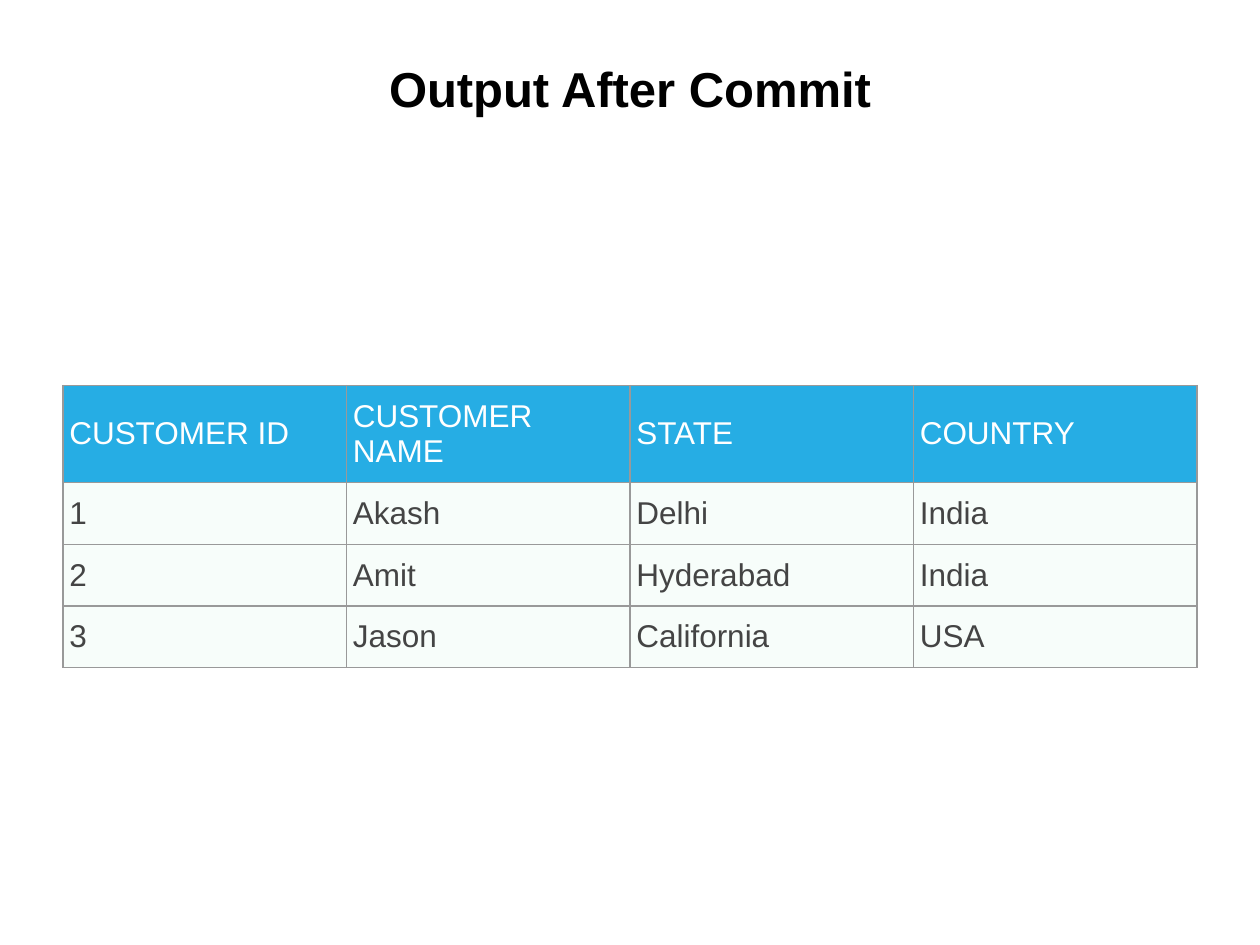
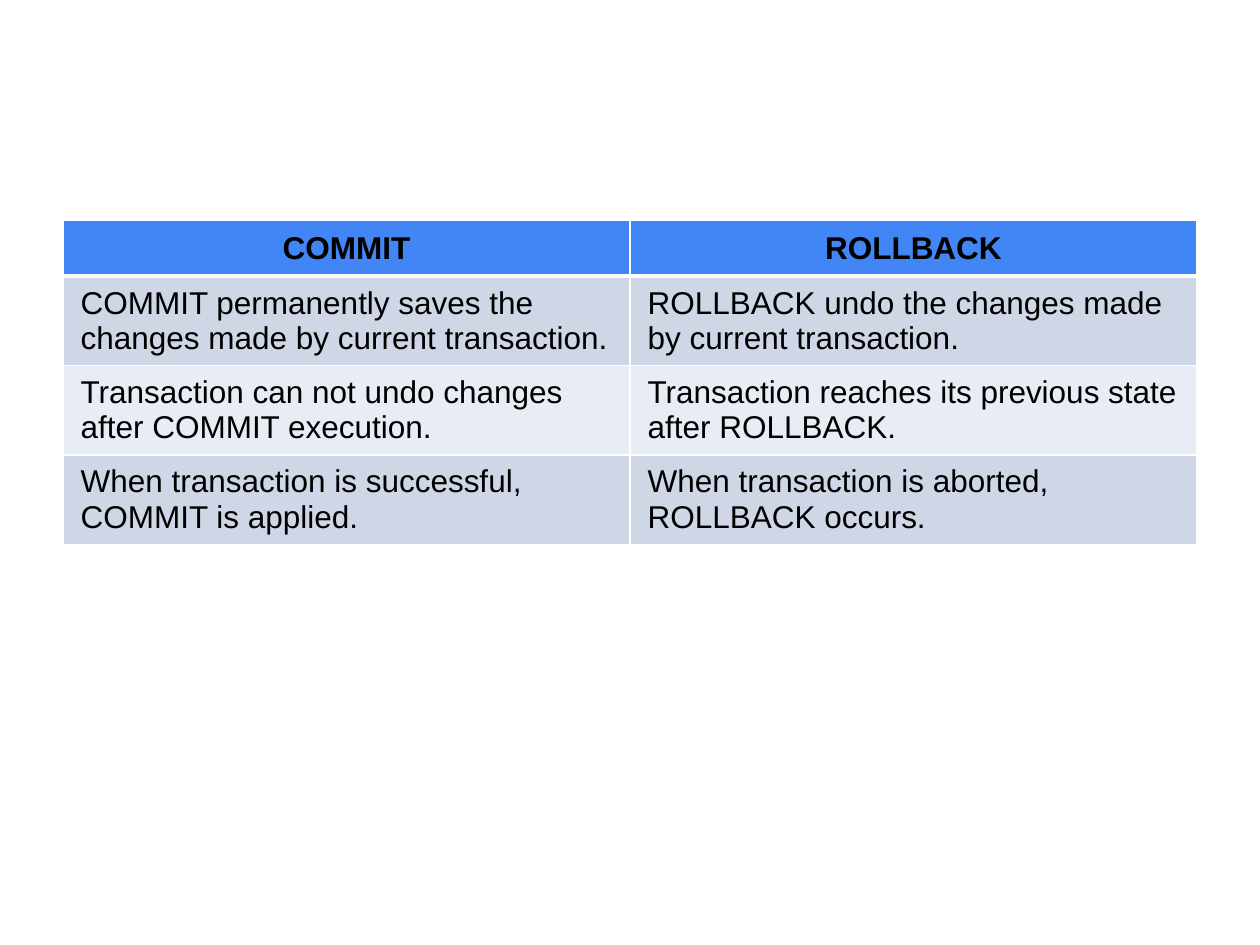
"""Build two slides on SQL transactions: a commit result and a COMMIT/ROLLBACK comparison."""
from lxml.etree import SubElement
from pptx import Presentation
from pptx.dml.color import RGBColor
from pptx.enum.text import MSO_ANCHOR as Anchor, MSO_AUTO_SIZE as AutoSize, PP_ALIGN as Align
from pptx.oxml.ns import qn
from pptx.util import Inches, Pt

BLACK = RGBColor(0x00, 0x00, 0x00)
WHITE = RGBColor(0xFF, 0xFF, 0xFF)
GREY_TEXT = RGBColor(0x44, 0x44, 0x44)
GREY_LINE = RGBColor(0x99, 0x99, 0x99)
SKY = RGBColor(0x26, 0xAD, 0xE4)
MINT = RGBColor(0xF7, 0xFD, 0xFA)
BLUE = RGBColor(0x42, 0x85, 0xF4)
BAND_DARK = RGBColor(0xCF, 0xD7, 0xE7)
BAND_LIGHT = RGBColor(0xE8, 0xEC, 0xF4)
FONT = "Arial"

prs = Presentation()
prs.slide_width, prs.slide_height = Inches(10), Inches(7.5)
LEFT = int(prs.slide_width * 0.05)
WIDTH = int(prs.slide_width * 0.9)


def set_font(font, size, color, bold):
    for key, value in dict(name=FONT, size=Pt(size), bold=bold).items():
        setattr(font, key, value)
    font.color.rgb = color


def add_grid(s, rows, top, heights, head, bands, line, width, rule):
    n_cols = len(rows[0])
    row_heights = [Inches(heights[min(r, 1)]) for r in range(len(rows))]
    table = s.shapes.add_table(len(rows), n_cols, LEFT, Inches(top), WIDTH, sum(row_heights)).table
    for col in table.columns:
        col.width = WIDTH // n_cols
    for r, texts in enumerate(rows):
        table.rows[r].height = row_heights[r]
        style = head if r == 0 else bands[(r - 1) % len(bands)]
        for c, text in enumerate(texts):
            cell = table.cell(r, c)
            tc_pr = cell._tc.get_or_add_tcPr()
            widths = dict(lnL=width, lnR=width, lnT=rule if r == 1 else width,
                          lnB=rule if r == 0 else width)
            for side, points in widths.items():
                ln = SubElement(tc_pr, qn(f"a:{side}"), w=str(Pt(points)))
                SubElement(SubElement(ln, qn("a:solidFill")), qn("a:srgbClr"), val=str(line))
            cell.fill.solid()
            cell.fill.fore_color.rgb = style["fill"]
            cell.vertical_anchor = Anchor.MIDDLE
            cell.margin_left = cell.margin_right = Inches(style["pad"][0])
            cell.margin_top = cell.margin_bottom = Inches(style["pad"][1])
            p = cell.text_frame.paragraphs[0]
            p.alignment = style["align"]
            run = p.add_run()
            run.text = text
            set_font(run.font, 18, style["color"], style["bold"])


s = prs.slides.add_slide(prs.slide_layouts[5])
title = s.shapes.title
title.left, title.top, title.width, title.height = LEFT, Inches(0.3), WIDTH, Inches(1.25)
tf = title.text_frame
tf.auto_size = AutoSize.NONE
tf.vertical_anchor = Anchor.MIDDLE
tf.margin_bottom = Inches(0.5)
p = tf.paragraphs[0]
p.alignment = Align.CENTER
run = p.add_run()
run.text = "Output After Commit"
set_font(run.font, 28, BLACK, True)

customers = [
    ("CUSTOMER ID", "CUSTOMER NAME", "STATE", "COUNTRY"),
    ("1", "Akash", "Delhi", "India"),
    ("2", "Amit", "Hyderabad", "India"),
    ("3", "Jason", "California", "USA"),
]
plain = dict(pad=(0.05, 0.1), align=Align.LEFT, bold=False)
add_grid(s, customers, 3.06, (0.77, 0.49), dict(plain, fill=SKY, color=WHITE),
         [dict(plain, fill=MINT, color=GREY_TEXT)], GREY_LINE, 0.75, 0.75)

s = prs.slides.add_slide(prs.slide_layouts[6])
comparison = [
    ("COMMIT", "ROLLBACK"),
    ("COMMIT permanently saves the changes made by current transaction.",
     "ROLLBACK undo the changes made by current transaction."),
    ("Transaction can not undo changes after COMMIT execution.",
     "Transaction reaches its previous state after ROLLBACK."),
    ("When transaction is successful, COMMIT is applied.",
     "When transaction is aborted, ROLLBACK occurs."),
]
body = dict(pad=(0.14, 0.07), align=Align.LEFT, bold=False, color=BLACK)
heading = dict(pad=(0.08, 0.08), align=Align.CENTER, bold=True, color=BLACK, fill=BLUE)
add_grid(s, comparison, 1.75, (0.44, 0.71), heading,
         [dict(body, fill=BAND_DARK), dict(body, fill=BAND_LIGHT)], WHITE, 1, 3)

prs.save("out.pptx")
